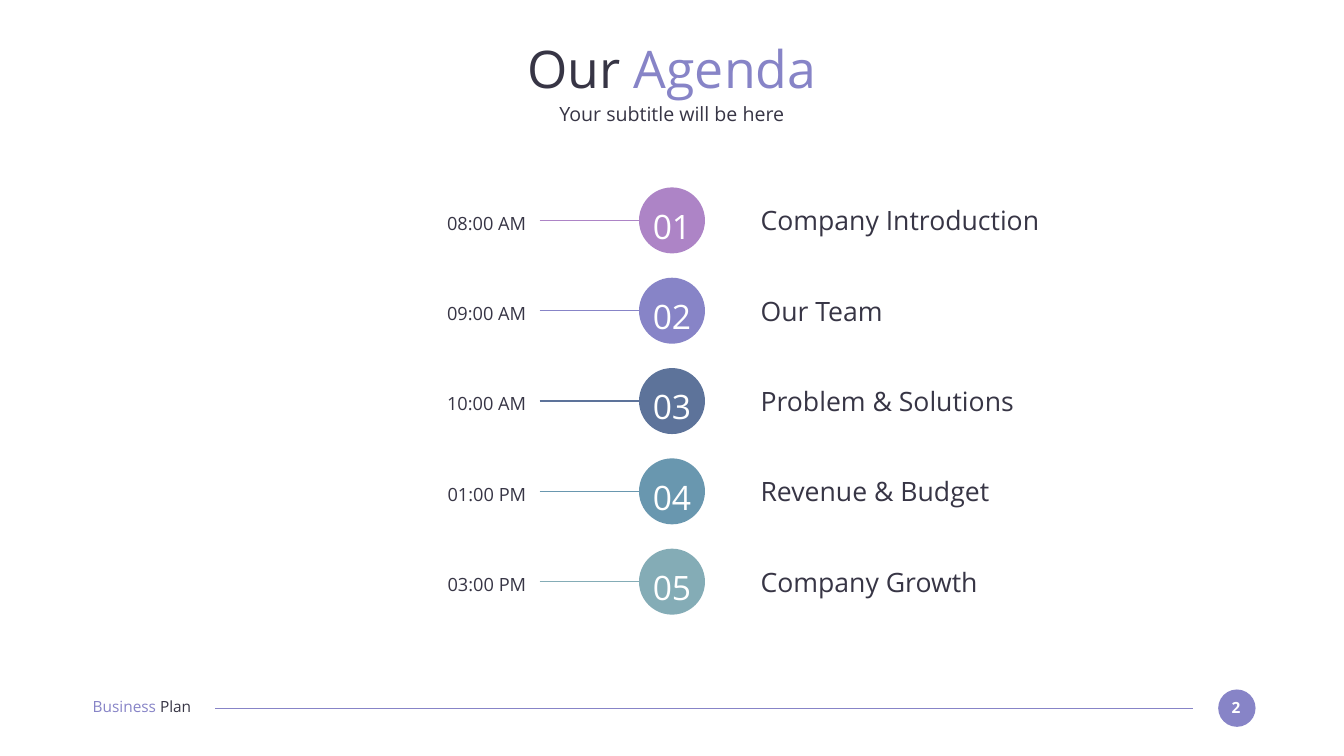
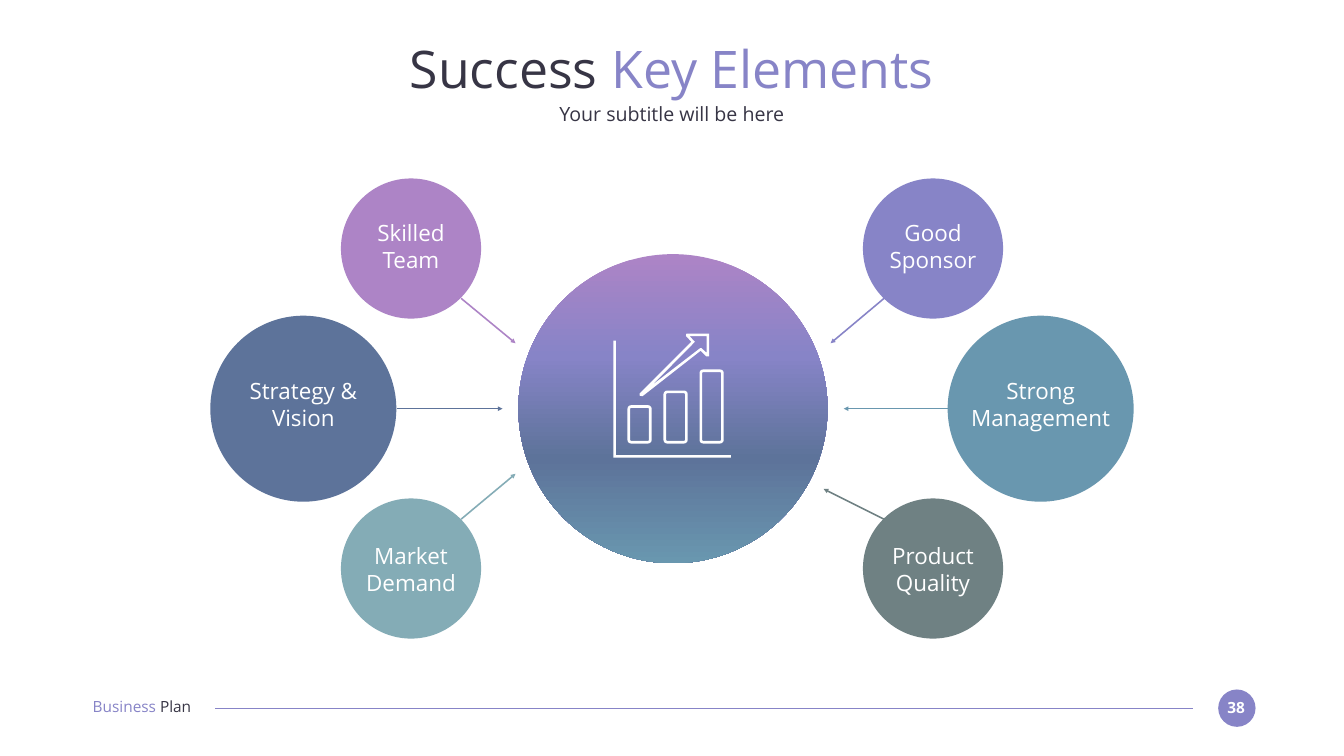
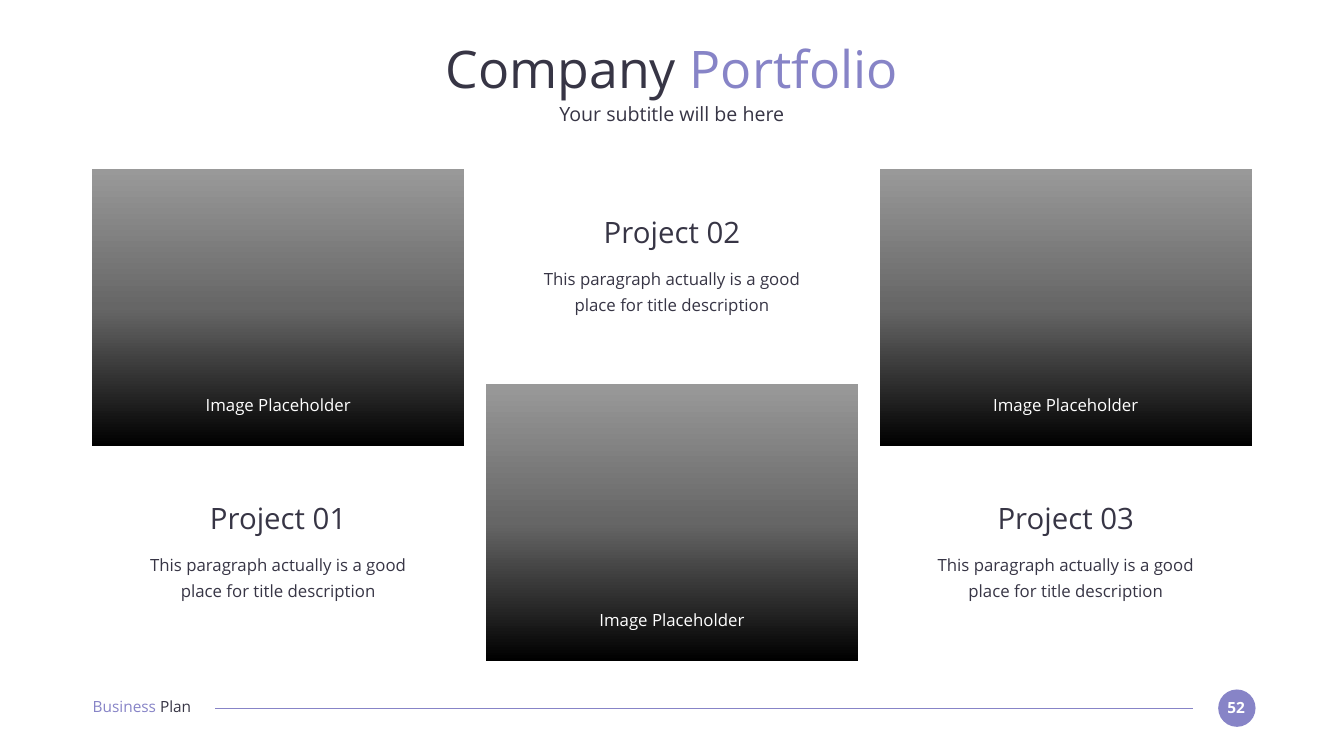
from copy import deepcopy
from math import cos, radians, sin

from lxml.etree import SubElement
from pptx import Presentation
from pptx.dml.color import RGBColor
from pptx.enum.shapes import MSO_CONNECTOR as Connector, MSO_SHAPE as Shape
from pptx.enum.text import PP_ALIGN as Align
from pptx.oxml.ns import qn
from pptx.util import Inches, Pt

COLUMNS, ROWS = 100, 56.25
CELL = Inches(15) / ROWS
MIDDLE = COLUMNS / 2
FONT = "Open Sans"

WHITE = RGBColor(0xFF, 0xFF, 0xFF)
INK = RGBColor(0x37, 0x35, 0x45)
ORCHID = RGBColor(0xAD, 0x84, 0xC6)
VIOLET = RGBColor(0x87, 0x84, 0xC7)
NAVY = RGBColor(0x5D, 0x73, 0x9A)
STEEL = RGBColor(0x69, 0x97, 0xAF)
TEAL = RGBColor(0x84, 0xAC, 0xB6)
SLATE = RGBColor(0x6F, 0x81, 0x83)
BLACK = RGBColor(0x00, 0x00, 0x00)
DARK_GREY = RGBColor(0x66, 0x66, 0x66)
GREY = RGBColor(0x99, 0x99, 0x99)

HUB_STOPS = [(0, ORCHID), (0.33, VIOLET), (0.66, NAVY), (1, STEEL)]
IMAGE_STOPS = [(0, BLACK), (0.5, DARK_GREY), (1, GREY)]

AGENDA = [
    ("08:00 AM", "Company Introduction", ORCHID),
    ("09:00 AM", "Our Team", VIOLET),
    ("10:00 AM", "Problem & Solutions", NAVY),
    ("01:00 PM", "Revenue & Budget", STEEL),
    ("03:00 PM", "Company Growth", TEAL),
]

SMALL, LARGE = 10.43, 13.84
TOP, CENTRE, BOTTOM = 18.49, 30.41, 42.3
NEAR, FAR = 19.42, 27.43
LABEL_TOPS = {TOP: 16.28, CENTRE: 28.09, BOTTOM: 40.31}
ELEMENTS = [
    ("Skilled Team", ORCHID, -NEAR, TOP, SMALL, (34.31, 22.2), (38.36, 25.54)),
    ("Strategy & Vision", NAVY, -FAR, CENTRE, LARGE, (29.51, CENTRE), (37.39, CENTRE)),
    ("Market Demand", TEAL, -NEAR, BOTTOM, SMALL, (34.31, 38.63), (38.36, 35.25)),
    ("Good Sponsor", VIOLET, NEAR, TOP, SMALL, (65.78, 22.2), (61.8, 25.54)),
    ("Strong\nManagement", STEEL, FAR, CENTRE, LARGE, (70.5, CENTRE), (62.78, CENTRE)),
    ("Product Quality", SLATE, NEAR, BOTTOM, SMALL, (65.78, 38.63), (61.28, 36.38)),
]

AXES = [(45.64, 25.35), (45.83, 25.35), (45.83, 33.86),
        (54.38, 33.86), (54.38, 34.05), (45.64, 34.05)]
ARROW_OUTSIDE = [(47.6, 29.27), (51.45, 25.43), (51.04, 25.01), (51.07, 24.83),
                 (52.76, 24.83), (52.76, 26.51), (52.54, 26.51), (52.13, 26.1),
                 (47.81, 29.48), (47.6, 29.44)]
ARROW_INSIDE = [(48.53, 28.65), (52.09, 25.91), (52.2, 25.91), (52.58, 26.25),
                (52.58, 25.01), (51.3, 25.01), (51.71, 25.43)]
BAR_TOPS = [30.15, 29.06, 27.49]


def cells(*values):
    return [round(value * CELL) for value in values]


def add_text(slide, box, text, size, color=INK, align=Align.CENTER, bold=False,
             spacing=None, ending="", ending_color=VIOLET):
    frame = slide.shapes.add_textbox(*cells(*box)).text_frame
    frame.word_wrap = True
    frame.margin_left = frame.margin_right = frame.margin_top = frame.margin_bottom = 0
    for index, words in enumerate(text.split("\n")):
        paragraph = frame.add_paragraph() if index else frame.paragraphs[0]
        paragraph.alignment = align
        if spacing:
            paragraph.line_spacing = spacing
        parts = [(words, color), (ending, ending_color)] if ending else [(words, color)]
        for part, part_color in parts:
            run = paragraph.add_run()
            run.text = part
            run.font.name = FONT
            run.font.size = Pt(size)
            run.font.bold = bold
            run.font.color.rgb = part_color


def fill_plain(shape, color):
    shape.shadow.inherit = False
    shape.fill.solid()
    shape.fill.fore_color.rgb = color
    shape.line.fill.background()


def fill_gradient(shape, stops, angle):
    shape.fill.gradient()
    shape.fill.gradient_angle = angle
    stop_list = shape.element.spPr.find(".//" + qn("a:gsLst"))
    for _ in stops[2:]:
        stop_list.append(deepcopy(stop_list[0]))
    for stop, (position, color) in zip(shape.fill.gradient_stops, stops):
        stop.position = position
        stop.color.rgb = color


def add_circle(slide, x, y, diameter, color):
    box = cells(x - diameter / 2, y - diameter / 2, diameter, diameter)
    circle = slide.shapes.add_shape(Shape.OVAL, *box)
    fill_plain(circle, color)
    return circle


def add_line(slide, start, end, color, width=2.25, arrow=False):
    line = slide.shapes.add_connector(Connector.STRAIGHT, *cells(*start, *end))
    line.line.color.rgb = color
    line.line.width = Pt(width)
    properties = line.element.spPr
    if arrow:
        SubElement(properties.find(qn("a:ln")), qn("a:tailEnd"), type="triangle")
    SubElement(properties, qn("a:effectLst"))


def rounded_box(left, top, right, bottom, radius):
    corners = [(right - radius, top + radius, -90), (right - radius, bottom - radius, 0),
               (left + radius, bottom - radius, 90), (left + radius, top + radius, 180)]
    return [(x + radius * cos(radians(start + turn)), y + radius * sin(radians(start + turn)))
            for x, y, start in corners for turn in (0, 30, 60, 90)]


def add_outline(slide, contours, color):
    contours = [[cells(*point) for point in contour] for contour in contours]
    builder = slide.shapes.build_freeform(*contours[0][0])
    for index, contour in enumerate(contours):
        if index:
            builder.move_to(*contour[0])
        builder.add_line_segments(contour[1:], close=True)
    fill_plain(builder.convert_to_shape(), color)


def add_growth_icon(slide):
    contours = [AXES, ARROW_OUTSIDE, ARROW_INSIDE]
    width, bottom, border = 1.8, 33, 0.2
    for index, top in enumerate(BAR_TOPS):
        left = 46.69 + 2.68 * index
        contours.append(rounded_box(left, top, left + width, bottom, 0.26))
        contours.append(rounded_box(left + border, top + border, left + width - border,
                                    bottom - border, 0.07))
    add_outline(slide, contours, WHITE)


def add_page(presentation, number, title, highlight):
    slide = presentation.slides.add_slide(presentation.slide_layouts[6])
    add_circle(slide, 92.03, 52.69, 2.78, VIOLET)
    add_text(slide, (90.86, 51.94, 2.21, 1.39), str(number), 22, WHITE, bold=True)
    add_line(slide, (88.76, 52.69), (16.01, 52.69), VIOLET, width=1.5)
    add_text(slide, (6.9, 51.9, 9.71, 1.39), "Business ", 22, VIOLET, Align.LEFT,
             ending="Plan", ending_color=INK)
    add_text(slide, (6.86, 2.74, 86.25, 4.76), title + " ", 74, ending=highlight)
    add_text(slide, (6.86, 7.61, 86.25, 1.84), "Your subtitle will be here", 28)
    return slide


def add_agenda_item(slide, index, time, topic, color):
    y = 16.4 + 6.72 * index
    add_circle(slide, MIDDLE, y, 4.91, color)
    add_line(slide, (40.16, y), (47.55, y), color)
    add_text(slide, (48.07, y - 1.7, 3.86, 3.64), f"{index + 1:02}", 48, WHITE, spacing=1.2)
    add_text(slide, (25.88, y - 1.1, 13.28, 1.99), time, 26, align=Align.RIGHT, spacing=1.3)
    add_text(slide, (56.59, y - 1.2, 23.59, 2.4), topic, 38, align=Align.LEFT)


def add_element(slide, label, color, offset, y, diameter, start, end):
    x = MIDDLE + offset
    width = 10.91 if "\n" in label else 8.36
    add_circle(slide, x, y, diameter, color)
    add_line(slide, start, end, color, arrow=True)
    add_text(slide, (x - width / 2, LABEL_TOPS[y], width, 4.05), label, 32, WHITE)


def add_project(slide, index):
    left = 6.84 + 29.3 * index
    image_top, title_top = (28.58, 15.9) if index % 2 else (12.6, 37.2)
    image = slide.shapes.add_shape(Shape.RECTANGLE, *cells(left, image_top, 27.71, 20.59))
    fill_plain(image, BLACK)
    fill_gradient(image, IMAGE_STOPS, 90)
    add_text(slide, (left + 3.15, image_top + 16.76, 21.41, 1.5), "Image Placeholder", 24, WHITE)
    add_text(slide, (left + 2.7, title_top, 22.31, 2.66), f"Project {index + 1:02}", 42)
    add_text(slide, (left + 2.7, title_top + 3.64, 22.31, 3.79),
             "This paragraph actually is a good place for title description", 24, spacing=1.3)


def main():
    presentation = Presentation()
    presentation.slide_width, presentation.slide_height = cells(COLUMNS, ROWS)

    agenda = add_page(presentation, 2, "Our", "Agenda")
    for index, item in enumerate(AGENDA):
        add_agenda_item(agenda, index, *item)

    success = add_page(presentation, 38, "Success", "Key Elements")
    for element in ELEMENTS:
        add_element(success, *element)
    hub = add_circle(success, 50.07, CENTRE, 23, VIOLET)
    fill_gradient(hub, HUB_STOPS, 270)
    add_growth_icon(success)

    portfolio = add_page(presentation, 52, "Company", "Portfolio")
    for index in range(3):
        add_project(portfolio, index)

    presentation.save("out.pptx")


if __name__ == "__main__":
    main()
